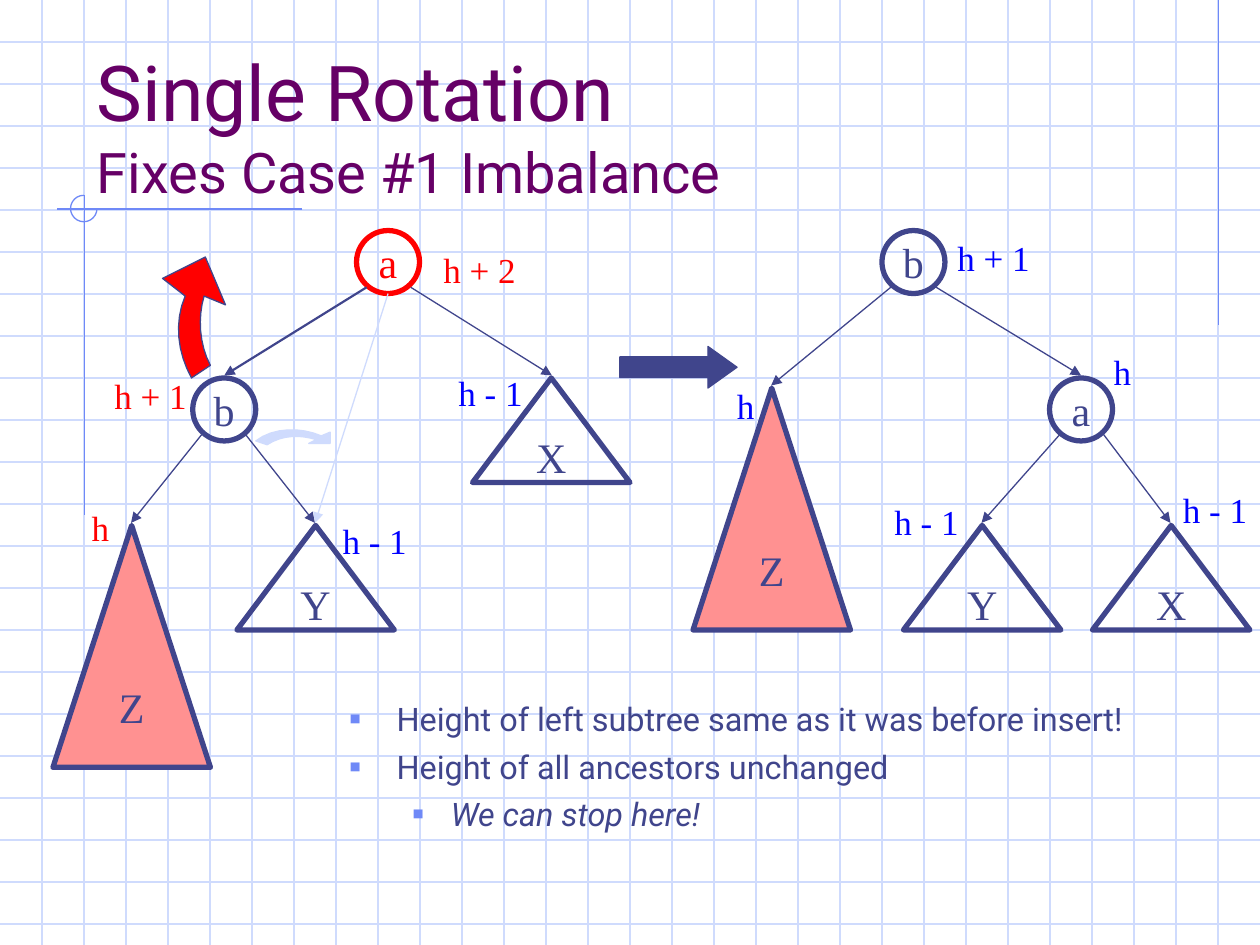
from dataclasses import dataclass
from typing import NamedTuple, Optional

from lxml.etree import SubElement
from pptx import Presentation
from pptx.dml.color import RGBColor
from pptx.enum.shapes import MSO_CONNECTOR, MSO_SHAPE
from pptx.enum.text import MSO_ANCHOR, MSO_AUTO_SIZE, PP_ALIGN
from pptx.oxml.ns import qn
from pptx.util import Inches, Pt


@dataclass(frozen=True)
class Theme:
    ink: str = "40458C"
    red: str = "FF0000"
    blue: str = "0000FF"
    pink: str = "FF9191"
    pale: str = "CFDBFD"
    accent: str = "6F89F7"
    plum: str = "660066"
    sans: str = "Roboto"
    serif: str = "Times New Roman"
    title: float = 44
    sub: float = 32
    body: float = 18.5
    node: float = 24
    label: float = 20
    thin: float = 0.75
    thick: float = 3


T = Theme()


class Node(NamedTuple):
    text: str
    x: float
    y: float
    color: str = T.ink


class Tree(NamedTuple):
    text: str
    x: float
    y: float
    high: float = 0.83
    fill: Optional[str] = None


class Edge(NamedTuple):
    x: float
    y: float
    to_x: float
    to_y: float
    color: str = T.ink
    width: float = T.thin


class Label(NamedTuple):
    text: str
    x: float
    y: float
    color: str = T.blue


class Point(NamedTuple):
    text: str
    left: float
    hang: float
    level: int = 0


NODES = [Node("a", 2.83, 1.83, T.red), Node("b", 1.53, 3),
         Node("a", 8.33, 3), Node("b", 7, 1.83)]
TREES = [Tree("X", 3.75, 3), Tree("Y", 1.88, 4.17),
         Tree("Z", 0.42, 4.17, 1.92, T.pink),
         Tree("X", 8.67, 4.17), Tree("Y", 7.17, 4.17),
         Tree("Z", 5.5, 3.08, 1.92, T.pink)]
EDGES = [Edge(2.91, 2.28, 1.78, 2.98, width=1.25),
         Edge(3.26, 2.28, 4.38, 2.98), Edge(1.95, 3.45, 2.5, 4.15),
         Edge(1.6, 3.45, 1.04, 4.15), Edge(7.43, 2.28, 8.58, 2.98),
         Edge(8.76, 3.45, 9.29, 4.15), Edge(8.41, 3.45, 7.79, 4.15),
         Edge(7.07, 2.28, 6.12, 3.06), Edge(3.08, 2.33, 2.5, 4.15, T.pale)]
LABELS = [Label("h", 0.63, 3.97, T.red), Label("h - 1", 2.62, 4.07),
          Label("h + 1", 0.81, 2.92, T.red), Label("h - 1", 3.54, 2.9),
          Label("h + 2", 3.42, 1.92, T.red), Label("h", 5.75, 3),
          Label("h - 1", 7, 3.92), Label("h", 8.74, 2.73),
          Label("h - 1", 9.29, 3.83), Label("h + 1", 7.5, 1.83)]
WIDTHS = {"h": 0.34, "h - 1": 0.71, "h + 1": 0.8, "h + 2": 0.8}
POINTS = [Point("Height of left subtree same as it was before insert!", 0.38, 0.38),
          Point("Height of all ancestors unchanged", 0.38, 0.38),
          Point("We can stop here!", 0.81, 0.31, 1)]
RULES = [Edge(9.67, 0, 9.67, 2.58), Edge(2.4, 1.66, 0.45, 1.66),
         Edge(0.67, 1.55, 0.67, 4.09)]
SMALL_TURN = [(2.03, 3.5), (2.17, 3.39, 2.39, 3.39, 2.55, 3.46), (2.62, 3.43),
              (2.62, 3.52), (2.45, 3.52), (2.51, 3.49),
              (2.39, 3.45, 2.24, 3.45, 2.12, 3.53)]
BIG_TURN = [(1.62, 2.35), (1.57, 2.52, 1.58, 2.73, 1.67, 2.9), (1.52, 3),
            (1.41, 2.8, 1.38, 2.56, 1.47, 2.35), (1.29, 2.21), (1.63, 2.04),
            (1.79, 2.42)]


def paint(shape, fill: Optional[str], line: str, width: float) -> None:
    shape.shadow.inherit = False
    if fill:
        shape.fill.solid()
        shape.fill.fore_color.rgb = RGBColor.from_string(fill)
    else:
        shape.fill.background()
    shape.line.color.rgb = RGBColor.from_string(line)
    shape.line.width = Pt(width)


def add_shape(slide, kind, box: tuple, fill: Optional[str], line: str, width: float):
    shape = slide.shapes.add_shape(kind, *map(Inches, box))
    paint(shape, fill, line, width)
    return shape


def add_run(para, text: str, size: float, font: str, color: str, italic: bool = False) -> None:
    run = para.add_run()
    run.text = text
    run.font.size = Pt(size)
    run.font.name = font
    run.font.color.rgb = RGBColor.from_string(color)
    if italic:
        run.font.italic = True


def add_line(slide, edge: Edge, color: str, arrow: bool = False) -> None:
    line = slide.shapes.add_connector(MSO_CONNECTOR.STRAIGHT, *map(Inches, edge[:4]))
    line.line.color.rgb = RGBColor.from_string(color)
    line.line.width = Pt(edge.width)
    props = line._element.spPr
    if arrow:
        SubElement(props.find(qn("a:ln")), qn("a:tailEnd"), type="triangle")
    SubElement(props, qn("a:effectLst"))


def add_sign(slide, kind, box: tuple, text: str, fill: Optional[str], color: str) -> None:
    shape = add_shape(slide, kind, box, fill, color, T.thick)
    frame = shape.text_frame
    frame.word_wrap = False
    frame.vertical_anchor = MSO_ANCHOR.MIDDLE
    para = frame.paragraphs[0]
    para.alignment = PP_ALIGN.CENTER
    add_run(para, text, T.node, T.serif, color)


def add_turn(slide, steps: list, fill: str, line: str) -> None:
    spots = [steps[0]]
    for step in steps[1:]:
        if len(step) == 2:
            spots.append(step)
            continue
        ends = (spots[-1], step[:2], step[2:4], step[4:])
        for t in (n / 8 for n in range(1, 9)):
            parts = ((1 - t) ** 3, 3 * t * (1 - t) ** 2, 3 * t * t * (1 - t), t ** 3)
            spots.append(tuple(sum(p * e[i] for p, e in zip(parts, ends)) for i in (0, 1)))
    first, *rest = [(Inches(x), Inches(y)) for x, y in spots]
    pen = slide.shapes.build_freeform(*first)
    pen.add_line_segments(rest, close=True)
    paint(pen.convert_to_shape(), fill, line, T.thin)


def add_frame(slide, *box: float):
    frame = slide.shapes.add_textbox(*map(Inches, box)).text_frame
    frame.word_wrap = True
    return frame


def add_points(slide) -> None:
    frame = add_frame(slide, 2.67, 5.5, 7, 1.25)
    for n, point in enumerate(POINTS):
        para = frame.add_paragraph() if n else frame.paragraphs[0]
        para.level = point.level
        props = para._p.get_or_add_pPr()
        props.set("marL", str(Inches(point.left)))
        props.set("indent", str(-Inches(point.hang)))
        SubElement(SubElement(props, qn("a:buClr")), qn("a:srgbClr"), val=T.accent)
        SubElement(props, qn("a:buSzPct"), val="110000")
        SubElement(props, qn("a:buFont"), typeface=T.serif)
        SubElement(props, qn("a:buChar"), char="▪")
        if n:
            para.space_before = Pt(5)
        add_run(para, point.text, T.body, T.sans, T.ink, point.level == 1)


def main() -> None:
    deck = Presentation()
    deck.slide_width, deck.slide_height = Inches(10), Inches(7.5)
    slide = deck.slides.add_slide(deck.slide_layouts[6])
    for n in range(1, 23):
        add_line(slide, Edge(0, n / 3, 10, n / 3), T.pale)
    for n in range(1, 30):
        add_line(slide, Edge(n / 3, 0, n / 3, 7.5), T.pale)
    for rule in RULES:
        add_line(slide, rule, T.accent)
    ring = add_shape(slide, MSO_SHAPE.ARC, (0.56, 1.55, 0.21, 0.21), None, T.accent, T.thin)
    ring.adjustments[0], ring.adjustments[1] = 0, 162

    head = add_frame(slide, 0.67, 0.42, 8.5, 1.25)
    head.vertical_anchor = MSO_ANCHOR.BOTTOM
    para = head.paragraphs[0]
    add_run(para, "Single Rotation", T.title, T.sans, T.plum)
    para.add_line_break()
    add_run(para, "Fixes Case #1 Imbalance", T.sub, T.sans, T.plum)
    add_points(slide)

    for node in NODES:
        add_sign(slide, MSO_SHAPE.OVAL, (node.x, node.y, 0.5, 0.5), node.text, None, node.color)
    for tree in TREES:
        add_sign(slide, MSO_SHAPE.ISOSCELES_TRIANGLE, (tree.x, tree.y, 1.25, tree.high),
                 tree.text, tree.fill, T.ink)
    for edge in EDGES:
        add_line(slide, edge, edge.color, arrow=True)
    arrow = add_shape(slide, MSO_SHAPE.RIGHT_ARROW, (4.92, 2.75, 0.93, 0.33), T.ink, T.ink, T.thin)
    arrow.adjustments[1] = 0.7
    add_turn(slide, SMALL_TURN, T.pale, T.pale)
    add_turn(slide, BIG_TURN, T.red, T.ink)
    for label in LABELS:
        frame = add_frame(slide, label.x, label.y, WIDTHS[label.text], 0.44)
        frame.word_wrap = False
        frame.auto_size = MSO_AUTO_SIZE.SHAPE_TO_FIT_TEXT
        add_run(frame.paragraphs[0], label.text, T.label, T.serif, label.color)
    deck.save("out.pptx")


if __name__ == "__main__":
    main()
